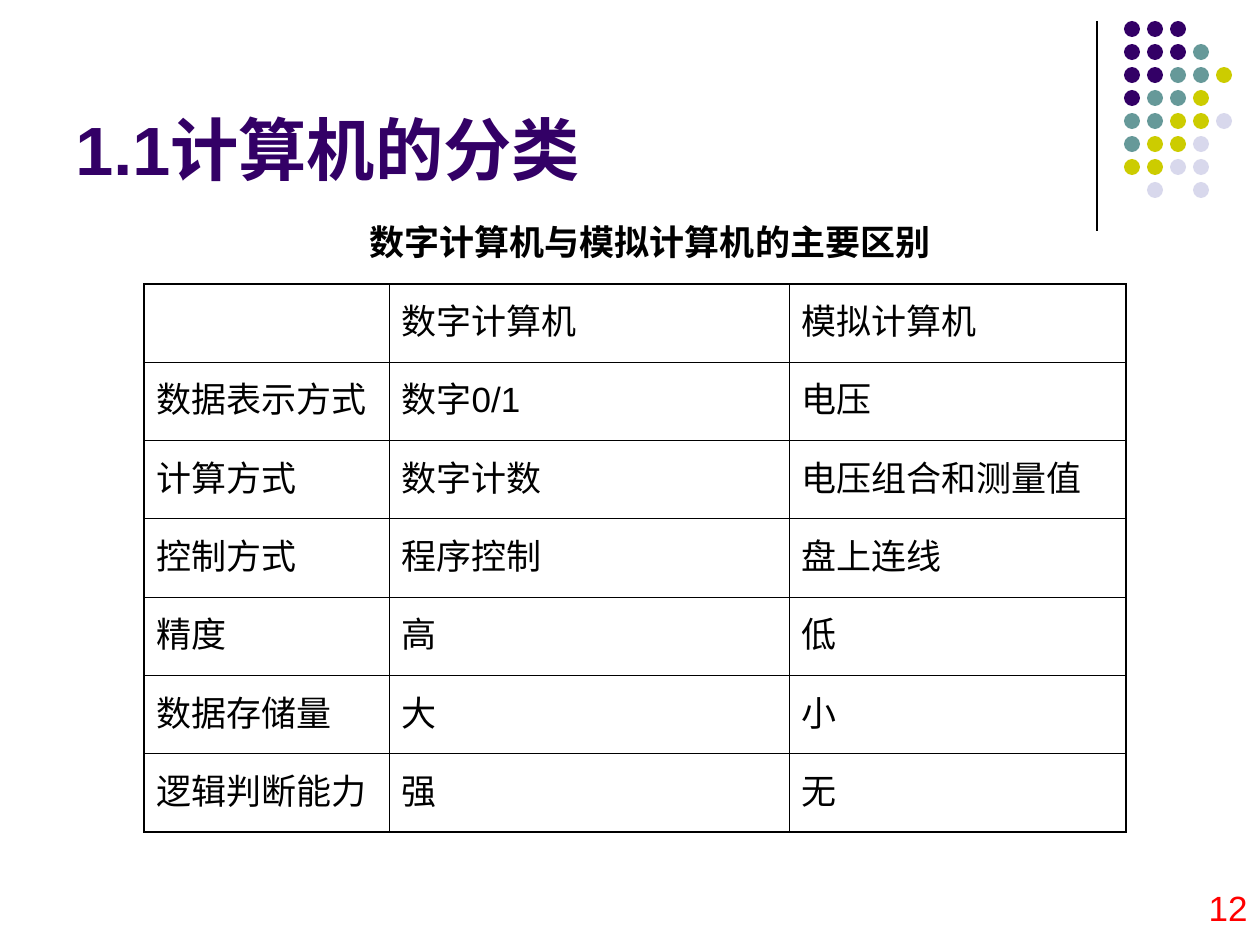
from lxml.etree import SubElement as Sub
from pptx import Presentation
from pptx.dml.color import RGBColor as RGB
from pptx.enum.shapes import MSO_CONNECTOR as Conn, MSO_SHAPE as Shape
from pptx.enum.text import MSO_ANCHOR as Anchor, PP_ALIGN as Align
from pptx.oxml.ns import qn
from pptx.util import Emu, Pt

SCALE = 914400 / 126
FONT = "Arial"
COLORS = {
    "ink": "000000", "plum": "330066", "teal": "669999",
    "lime": "CCCC00", "mist": "D8D8EC", "red": "FF0000",
}
DOTS = ["PPP", "PPPT", "PPTTL", "PTTL", "TTLLM", "TLLM", "LLMM", " M M"]
KEYS = {"P": "plum", "T": "teal", "L": "lime", "M": "mist"}
ROWS = [
    ("", "数字计算机", "模拟计算机"),
    ("数据表示方式", "数字0/1", "电压"),
    ("计算方式", "数字计数", "电压组合和测量值"),
    ("控制方式", "程序控制", "盘上连线"),
    ("精度", "高", "低"),
    ("数据存储量", "大", "小"),
    ("逻辑判断能力", "强", "无"),
]
THICK, THIN = 1.08, 0.45


def px(n):
    return Emu(round(n * SCALE))


def color(name):
    return RGB.from_string(COLORS[name])


def write(frame, text, size=20, ink="ink", bold=False, align=Align.LEFT):
    para = frame.paragraphs[0]
    para.alignment = align
    run = para.add_run()
    run.text = text
    font = run.font
    font.name, font.size, font.bold = FONT, Pt(size), bold
    font.color.rgb = color(ink)


def label(slide, box, text, anchor=Anchor.TOP, wrap=True, **style):
    frame = slide.shapes.add_textbox(*map(px, box)).text_frame
    frame.word_wrap = wrap
    frame.vertical_anchor = anchor
    write(frame, text, **style)


def corner(slide, box):
    """Vertical rule with a grid of dots to its right."""
    x, y, _, tall = box
    rule = slide.shapes.add_connector(
        Conn.STRAIGHT, px(x), px(y), px(x), px(y + tall))
    rule.line.color.rgb = color("ink")
    rule.line.width = Pt(0.75)
    Sub(rule._element.spPr, qn("a:effectLst"))

    step, size, inset = 23, 16, 27
    group = slide.shapes.add_group_shape()
    for r, row in enumerate(DOTS):
        for c, key in enumerate(row):
            if key == " ":
                continue
            dot = group.shapes.add_shape(
                Shape.OVAL, px(x + inset + c * step), px(y + r * step),
                px(size), px(size))
            dot.shadow.inherit = False
            dot.fill.solid()
            dot.fill.fore_color.rgb = color(KEYS[key])
            dot.line.fill.background()


def border(cell, sides):
    props = cell._tc.get_or_add_tcPr()
    for i, (side, width) in enumerate(sides.items()):
        line = props.makeelement(qn("a:ln" + side), {"w": str(Pt(width))})
        fill = Sub(line, qn("a:solidFill"))
        Sub(fill, qn("a:srgbClr"), val=COLORS["ink"])
        props.insert(i, line)


def grid(slide, box, widths):
    """Comparison table with a heavier outer frame."""
    last_r, last_c = len(ROWS) - 1, len(widths) - 1
    table = slide.shapes.add_table(
        len(ROWS), len(widths), *map(px, box)).table
    table.first_row = table.horz_banding = False
    for col, width in zip(table.columns, widths):
        col.width = px(width)
    for r, row in enumerate(ROWS):
        table.rows[r].height = px(box[3] / len(ROWS))
        for c, text in enumerate(row):
            cell = table.cell(r, c)
            cell.fill.background()
            cell.margin_top = px(10)
            if text:
                write(cell.text_frame, text)
            border(cell, {
                "L": THIN if c else THICK,
                "R": THICK if c == last_c else THIN,
                "T": THIN if r else THICK,
                "B": THICK if r == last_r else THIN,
            })


def main():
    deck = Presentation()
    deck.slide_width, deck.slide_height = px(1260), px(945)
    slide = deck.slides.add_slide(deck.slide_layouts[6])

    corner(slide, (1097, 21, 136, 210))
    # Title, table with its caption, page number
    label(slide, (63, 16, 1040, 179), "1.1计算机的分类",
          anchor=Anchor.BOTTOM, size=39, ink="plum", bold=True)
    grid(slide, (144, 284, 982, 548), (245, 400, 337))
    label(slide, (357, 214, 586, 55), "数字计算机与模拟计算机的主要区别",
          wrap=False, bold=True)
    label(slide, (966, 880, 294, 63), "12", ink="red", align=Align.RIGHT)
    deck.save("out.pptx")


if __name__ == "__main__":
    main()
